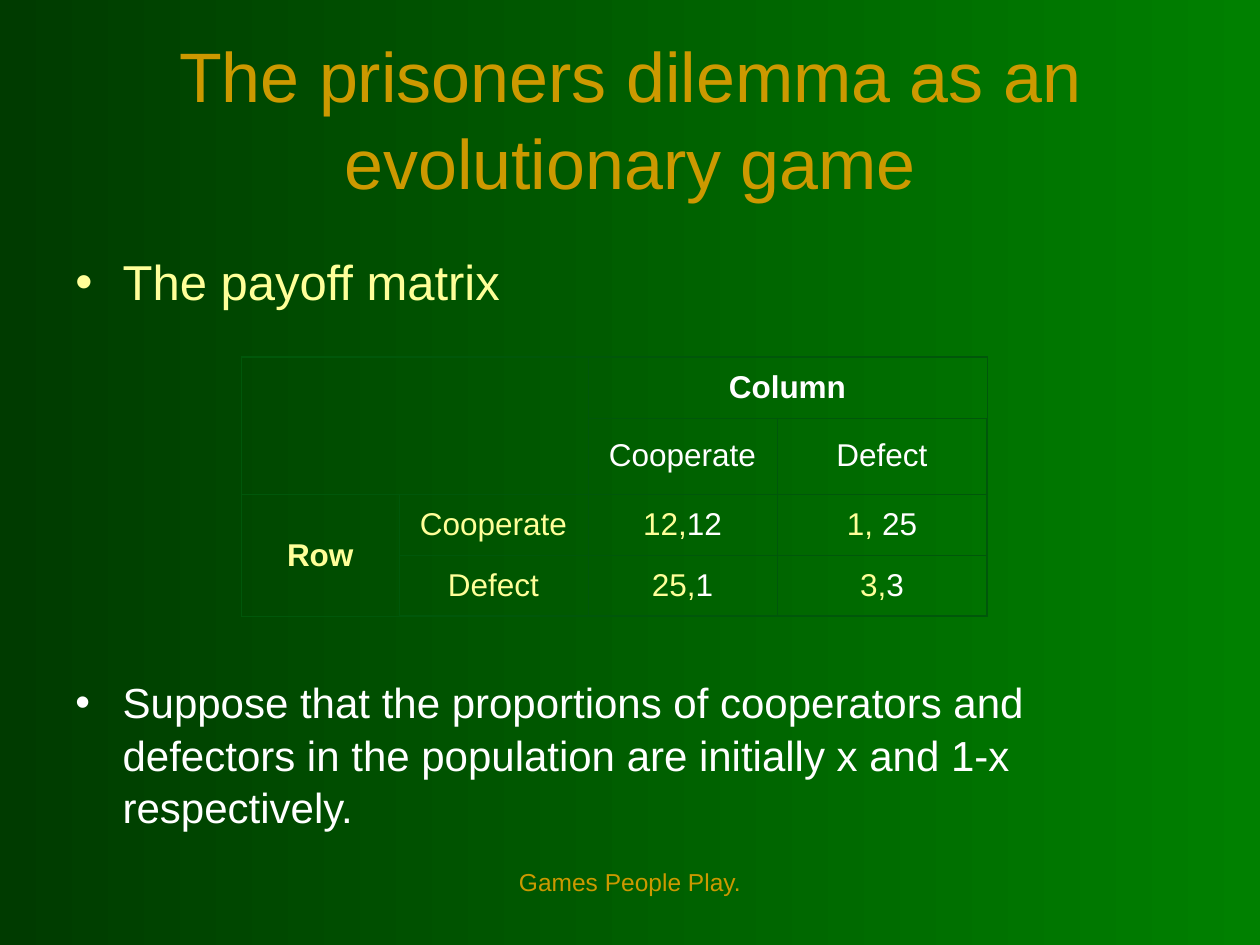
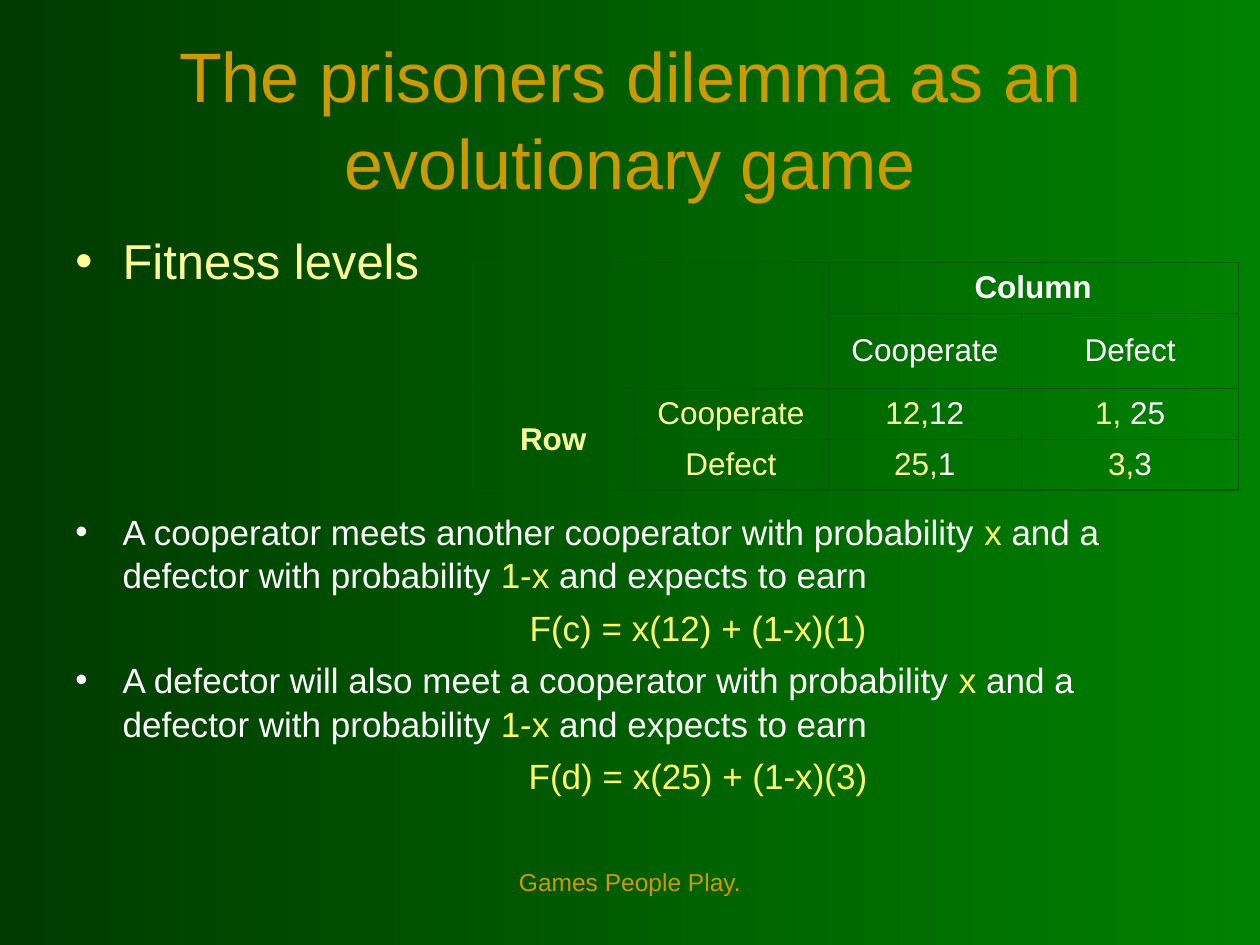
from dataclasses import dataclass
from lxml.etree import SubElement
from pptx import Presentation
from pptx.dml.color import RGBColor as RGB
from pptx.enum.text import MSO_ANCHOR as ANCHOR, PP_ALIGN as ALIGN
from pptx.oxml.ns import qn
from pptx.util import Pt


@dataclass(frozen=True)
class Theme:
    font: str = "Arial"
    dark: str = "003B00"
    green: str = "008000"
    gold: str = "CC9900"
    cream: str = "FFFF99"
    yellow: str = "FFFF66"
    white: str = "FFFFFF"
    border: str = "00570A"
    thin: float = 0.45
    thick: float = 1.08
    title: int = 40
    heading: int = 28
    cell: int = 18
    footer: int = 14
    spacing: float = 1.045


T = Theme()
W, H = 720, 540
TITLE = "The prisoners dilemma as an evolutionary game"
FOOTER = "Games People Play."
TITLE_BOX = (36, 21.6, 648, 90)
FOOTER_BOX = (246, 492, 228, 37)
HANG = 27

PAYOFFS = [
    (0, 2, [("Column", T.white)], True),
    (1, 2, [("Cooperate", T.white)], False),
    (1, 3, [("Defect", T.white)], False),
    (2, 0, [("Row", T.cream)], True),
    (2, 1, [("Cooperate", T.cream)], False),
    (2, 2, [("12,", T.cream), ("12", T.white)], False),
    (2, 3, [("1, ", T.cream), ("25", T.white)], False),
    (3, 1, [("Defect", T.cream)], False),
    (3, 2, [("25,", T.cream), ("1", T.white)], False),
    (3, 3, [("3,", T.cream), ("3", T.white)], False),
]
MERGES = [((0, 0), (1, 1)), ((0, 2), (0, 3)), ((2, 0), (3, 0))]


def meeting(start):
    return [(start + " with probability ", T.white), ("x", T.yellow),
            (" and a defector with probability ", T.white), ("1-x", T.yellow),
            (" and expects to earn", T.white)]


SLIDES = [
    dict(heading="The payoff matrix", heading_box=(36, 139, 660, 42),
         table=(138, 204, [90, 108, 108, 120], [34.9, 43.4, 34.9, 34.9]),
         body_box=(36, 382, 660, 100), size=24, before=6,
         body=[("bullet", [("Suppose that the proportions of cooperators and "
                            "defectors in the population are initially x and 1-x "
                            "respectively.", T.white)])]),
    dict(heading="Fitness levels", heading_box=(36, 127, 230, 42),
         table=(270, 150, [92.3, 110.8, 110.8, 123.8], [29, 43, 29, 29]),
         body_box=(36, 287, 654, 190), size=20, before=5,
         body=[("bullet", meeting("A cooperator meets another cooperator")),
               ("formula", [("F(c) = x(12) + (1-x)(1)", T.yellow)]),
               ("bullet", meeting("A defector will also meet a cooperator")),
               ("formula", [("F(d) = x(25) + (1-x)(3)", T.yellow)])]),
]


def write(p, runs, *, size, bold=False, align=ALIGN.LEFT, before=0,
          spacing=None, indent=None, bullet=None):
    pPr = p._p.get_or_add_pPr()
    if indent:
        left, first = indent
        pPr.set("marL", str(Pt(left)))
        pPr.set("indent", str(Pt(first)))
    if bullet:
        SubElement(SubElement(pPr, qn("a:buClr")), qn("a:srgbClr"), val=bullet)
        SubElement(pPr, qn("a:buFont"), typeface=T.font)
        SubElement(pPr, qn("a:buChar"), char="•")
    p.alignment = align
    p.space_before = Pt(before)
    if spacing:
        p.line_spacing = spacing
    for text, color in runs:
        r = p.add_run()
        r.text = text
        r.font.name, r.font.size, r.font.bold = T.font, Pt(size), bold
        r.font.color.rgb = RGB.from_string(color)


def add_box(s, box):
    tf = s.shapes.add_textbox(*map(Pt, box)).text_frame
    tf.word_wrap = True
    return tf


def add_title(s):
    sp = s.shapes.title
    sp.left, sp.top, sp.width, sp.height = map(Pt, TITLE_BOX)
    tf = sp.text_frame
    tf.word_wrap = True
    tf.vertical_anchor = ANCHOR.MIDDLE
    write(tf.paragraphs[0], [(TITLE, T.gold)], size=T.title,
          align=ALIGN.CENTER, spacing=T.spacing)


def add_body(s, items, box, size, before):
    tf = add_box(s, box)
    for i, (kind, runs) in enumerate(items):
        p = tf.add_paragraph() if i else tf.paragraphs[0]
        gap = before if i else 0
        if kind == "bullet":
            write(p, runs, size=size, before=gap, spacing=T.spacing,
                  indent=(HANG, -HANG), bullet=runs[0][1])
        else:
            p.level = 2
            write(p, runs, size=size, before=gap, spacing=T.spacing,
                  indent=(90, -18), align=ALIGN.CENTER)


def set_borders(cell, outer):
    tcPr = cell._tc.get_or_add_tcPr()
    for side in "LRTB":
        width = T.thick if side in outer else T.thin
        ln = SubElement(tcPr, qn("a:ln" + side), w=str(Pt(width)))
        SubElement(SubElement(ln, qn("a:solidFill")), qn("a:srgbClr"), val=T.border)


def add_payoffs(s, left, top, cols, rows):
    size = map(Pt, (left, top, sum(cols), sum(rows)))
    table = s.shapes.add_table(len(rows), len(cols), *size).table
    table.first_row = table.horz_banding = False
    for col, width in zip(table.columns, cols):
        col.width = Pt(width)
    for row, height in zip(table.rows, rows):
        row.height = Pt(height)
    for i in range(len(rows)):
        for j in range(len(cols)):
            cell = table.cell(i, j)
            edges = dict(L=j == 0, R=j == len(cols) - 1,
                         T=i == 0, B=i == len(rows) - 1)
            set_borders(cell, [side for side, outer in edges.items() if outer])
            cell.fill.background()
            cell.vertical_anchor = ANCHOR.MIDDLE
    for first, last in MERGES:
        table.cell(*first).merge(table.cell(*last))
    for i, j, runs, bold in PAYOFFS:
        write(table.cell(i, j).text_frame.paragraphs[0], runs,
              size=T.cell, bold=bold, align=ALIGN.CENTER)


def set_background(master):
    fill = master.background.fill
    fill.gradient()
    fill.gradient_angle = 0
    for stop, color in zip(fill.gradient_stops, (T.dark, T.green)):
        stop.color.rgb = RGB.from_string(color)


def main():
    prs = Presentation()
    prs.slide_width, prs.slide_height = Pt(W), Pt(H)
    set_background(prs.slide_master)
    for d in SLIDES:
        s = prs.slides.add_slide(prs.slide_layouts[5])
        add_title(s)
        write(add_box(s, FOOTER_BOX).paragraphs[0], [(FOOTER, T.gold)],
              size=T.footer, align=ALIGN.CENTER)
        add_body(s, [("bullet", [(d["heading"], T.cream)])],
                 d["heading_box"], T.heading, 0)
        add_payoffs(s, *d["table"])
        add_body(s, d["body"], d["body_box"], d["size"], d["before"])
    prs.save("out.pptx")


if __name__ == "__main__":
    main()
